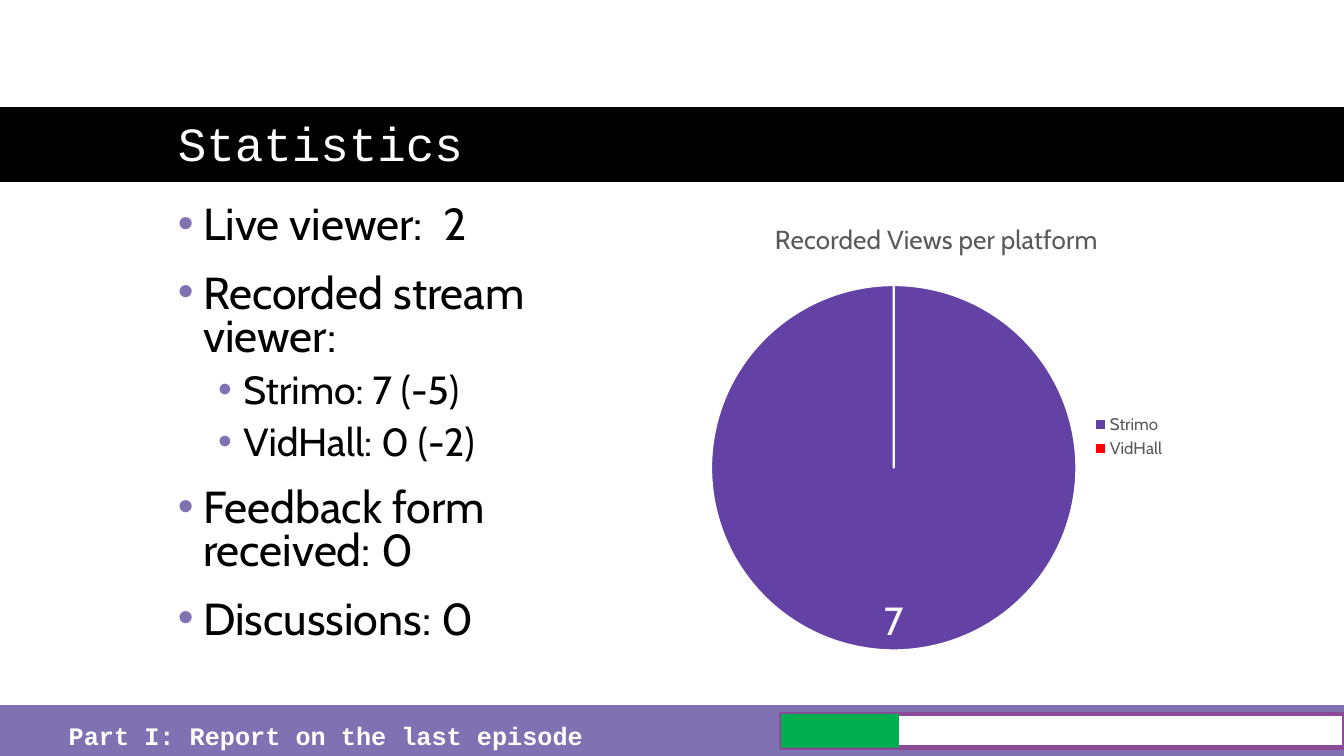
from lxml import etree
from pptx import Presentation, util as u
from pptx.chart.data import ChartData
from pptx.dml.color import RGBColor
from pptx.enum import chart as ch, shapes, text
from pptx.oxml.ns import qn

COLS = 160
CELL = u.Inches(13.333) / COLS
SANS, MONO = "Cabin", "Courier New"
WHITE, BLACK, GREY, LILAC = "FFFFFF", "000000", "595959", "8071B2"
SITES = [("Strimo", 7, "6441A5"), ("VidHall", 0, "FF0000")]
HEAD = "Recorded Views per platform"
ITEMS = [
    (0, "Live viewer:  2"),
    (0, "Recorded stream viewer:"),
    (1, "Strimo: 7 (-5)"),
    (1, "VidHall: 0 (-2)"),
    (0, "Feedback form received: 0"),
    (0, "Discussions: 0"),
]
LEVELS = [(32, 18, 0.25), (28, 10, 0.65)]


def grid(*cells):
    return [u.Emu(round(c * CELL)) for c in cells]


def tint(hue):
    return RGBColor.from_string(hue)


def style(font, face, size, hue, bold=False):
    font.name, font.size, font.bold = face, u.Pt(size), bold
    font.color.rgb = tint(hue)


def bar(slide, box, fill, edge=None, wide=1):
    form = slide.shapes.add_shape(shapes.MSO_SHAPE.RECTANGLE, *grid(*box))
    form.shadow.inherit = False
    form.fill.solid()
    form.fill.fore_color.rgb = tint(fill)
    if edge:
        form.line.color.rgb = tint(edge)
        form.line.width = u.Pt(wide)
    else:
        form.line.fill.background()


def frame(slide, box, anchor=text.MSO_ANCHOR.TOP):
    area = slide.shapes.add_textbox(*grid(*box)).text_frame
    area.word_wrap = True
    area.vertical_anchor = anchor
    return area


def write(para, words, *look):
    run = para.add_run()
    run.text = words
    style(run.font, *look)


def bullet(para, left):
    props = para._p.get_or_add_pPr()
    props.set("marL", str(u.Inches(left)))
    props.set("indent", str(u.Inches(-0.25)))
    paint = etree.SubElement(props, qn("a:buClr"))
    etree.SubElement(paint, qn("a:srgbClr"), val=LILAC)
    etree.SubElement(props, qn("a:buFont"), typeface="Arial")
    etree.SubElement(props, qn("a:buChar"), char="\u2022")


def outline(slide, box):
    area = frame(slide, box)
    for i, (level, words) in enumerate(ITEMS):
        size, gap, left = LEVELS[level]
        para = area.add_paragraph() if i else area.paragraphs[0]
        para.level = level
        para.line_spacing = 0.8
        para.space_before = u.Pt(gap)
        bullet(para, left)
        write(para, words, SANS, size, BLACK)


def pie(slide, box):
    data = ChartData()
    data.categories = [name for name, _, _ in SITES]
    data.add_series(HEAD, [views for _, views, _ in SITES])
    chart = slide.shapes.add_chart(ch.XL_CHART_TYPE.PIE, *grid(*box), data).chart
    style(chart.font, SANS, 10, BLACK)
    chart.has_title = True
    write(chart.chart_title.text_frame.paragraphs[0], HEAD, SANS, 18.6, GREY)
    chart.has_legend = True
    chart.legend.position = ch.XL_LEGEND_POSITION.RIGHT
    chart.legend.include_in_layout = False
    style(chart.legend.font, SANS, 12, GREY)
    plot = chart.plots[0]
    plot.vary_by_categories = True
    for i, (_, _, hue) in enumerate(SITES):
        part = plot.series[0].points[i].format
        part.fill.solid()
        part.fill.fore_color.rgb = tint(hue)
        part.line.color.rgb = tint(WHITE)
        part.line.width = u.Pt(1.5)
    plot.has_data_labels = True
    tags = plot.data_labels
    tags.show_value = True
    tags.show_percentage = False
    tags.number_format, tags.number_format_is_linked = "0;;", False
    tags.position = ch.XL_LABEL_POSITION.INSIDE_END
    style(tags.font, SANS, 28, WHITE)


def footer(slide):
    bar(slide, (0, 84, COLS, 6), LILAC, LILAC)
    bar(slide, (93, 85, 67, 4), WHITE, "8C4B97", 3)
    bar(slide, (93, 85, 14, 4), "00B050")
    area = frame(slide, (7, 85.2, 65, 4.8))
    write(area.paragraphs[0], "Part I: Report on the last episode", MONO, 18, WHITE, True)


def main():
    deck = Presentation()
    deck.slide_width, deck.slide_height = grid(COLS, 90)
    slide = deck.slides.add_slide(deck.slide_layouts[6])
    bar(slide, (0, 12.75, COLS, 8.9), BLACK)
    title = frame(slide, (20, 6, 120, 15), text.MSO_ANCHOR.BOTTOM).paragraphs[0]
    title.line_spacing = 0.9
    write(title, "Statistics", MONO, 34, WHITE)
    outline(slide, (20, 24, 57, 56))
    pie(slide, (83, 24, 57, 56))
    footer(slide)
    deck.save("out.pptx")


main()
